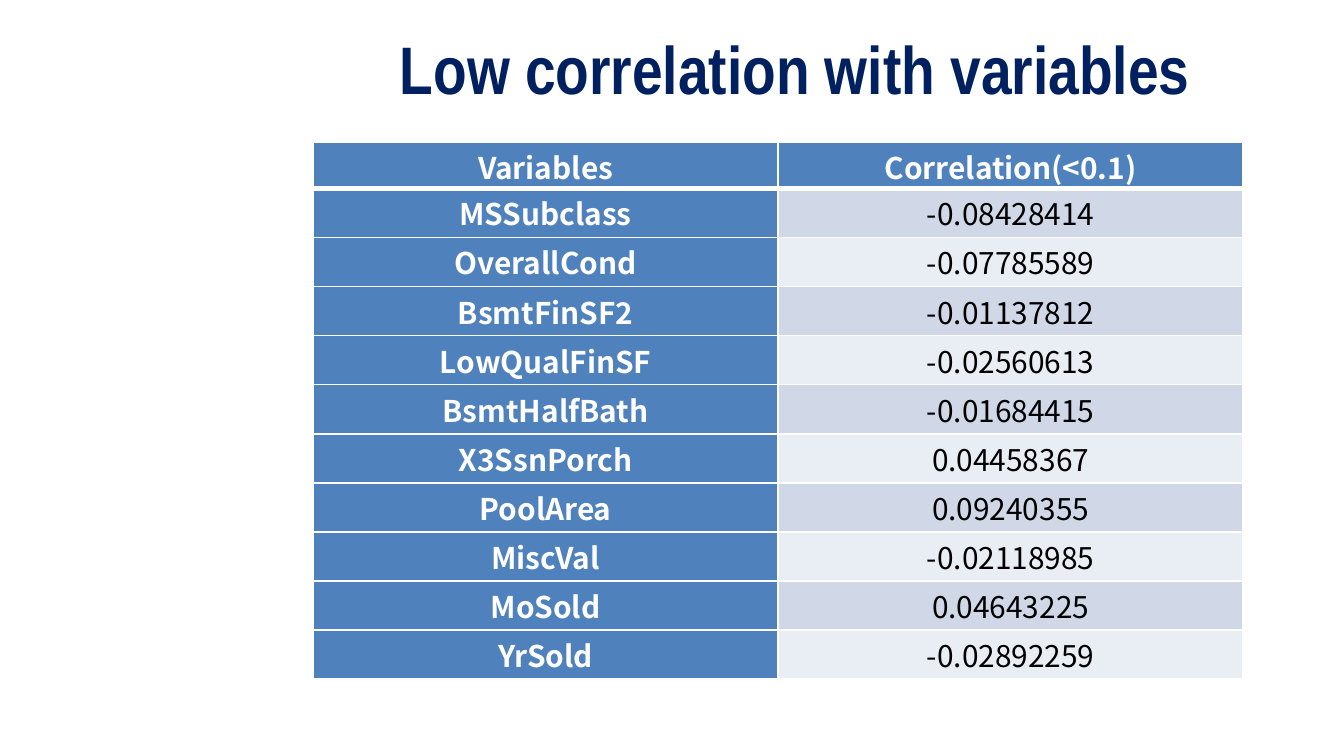
"""Build a slide with a table of weakly correlated variables."""
from typing import NamedTuple

from lxml.etree import SubElement
from pptx import Presentation
from pptx.dml.color import RGBColor
from pptx.enum.text import MSO_ANCHOR, MSO_AUTO_SIZE, PP_ALIGN
from pptx.oxml.ns import qn
from pptx.util import Inches, Pt

WHITE = RGBColor(0xFF, 0xFF, 0xFF)
BLACK = RGBColor(0x00, 0x00, 0x00)
NAVY = RGBColor(0x00, 0x20, 0x60)
BLUE = RGBColor(0x4F, 0x81, 0xBD)
BAND_DARK = RGBColor(0xD0, 0xD8, 0xE8)
BAND_LIGHT = RGBColor(0xE9, 0xED, 0xF4)

SLIDE_WIDTH = 10
SLIDE_HEIGHT = SLIDE_WIDTH * 9 / 16
TABLE_WIDTH = 6.92
TABLE_HEIGHT = 3.98
HEADER_HEIGHT = 0.33


class Correlation(NamedTuple):
    variable: str
    value: str


HEADER = Correlation("Variables", "Correlation(<0.1)")
CORRELATIONS = [
    Correlation("MSSubclass", "-0.08428414"),
    Correlation("OverallCond", "-0.07785589"),
    Correlation("BsmtFinSF2", "-0.01137812"),
    Correlation("LowQualFinSF", "-0.02560613"),
    Correlation("BsmtHalfBath", "-0.01684415"),
    Correlation("X3SsnPorch", "0.04458367"),
    Correlation("PoolArea", "0.09240355"),
    Correlation("MiscVal", "-0.02118985"),
    Correlation("MoSold", "0.04643225"),
    Correlation("YrSold", "-0.02892259"),
]


def add_borders(cell, top: float, bottom: float) -> None:
    properties = cell._tc.get_or_add_tcPr()
    for side, width in (("L", 1), ("R", 1), ("T", top), ("B", bottom)):
        line = SubElement(properties, qn(f"a:ln{side}"), w=str(Pt(width)))
        fill = SubElement(line, qn("a:solidFill"))
        SubElement(fill, qn("a:srgbClr"), val=str(WHITE))


def format_cell(cell, text: str, row: int, column: int) -> None:
    emphasized = row == 0 or column == 0
    band = BAND_DARK if row % 2 else BAND_LIGHT
    add_borders(cell, top=3 if row == 1 else 1, bottom=3 if row == 0 else 1)
    cell.fill.solid()
    cell.fill.fore_color.rgb = BLUE if emphasized else band
    cell.margin_left = cell.margin_right = Inches(0.07)
    cell.margin_top = cell.margin_bottom = 0
    cell.text = text
    paragraph = cell.text_frame.paragraphs[0]
    paragraph.alignment = PP_ALIGN.CENTER
    paragraph.line_spacing = 1.07
    font = paragraph.font
    font.name, font.size, font.bold = "Noto Sans CJK KR", Pt(16), emphasized
    font.color.rgb = WHITE if emphasized else BLACK


def add_title(slide, text: str) -> None:
    title = slide.shapes.title
    title.left, title.top = Inches(1.83), Inches(0.03)
    title.width, title.height = Inches(8.17), Inches(0.94)
    frame = title.text_frame
    frame.text = text
    frame.auto_size = MSO_AUTO_SIZE.NONE
    frame.vertical_anchor = MSO_ANCHOR.MIDDLE
    paragraph = frame.paragraphs[0]
    paragraph.alignment = PP_ALIGN.CENTER
    font = paragraph.font
    font.name, font.size, font.bold = "Arial Narrow", Pt(36), True
    font.color.rgb = NAVY


def add_correlation_table(slide, correlations: list[Correlation]) -> None:
    records = [HEADER, *correlations]
    table = slide.shapes.add_table(
        len(records), len(HEADER), Inches(2.33), Inches(1.06),
        Inches(TABLE_WIDTH), Inches(TABLE_HEIGHT),
    ).table
    table.first_col = True
    body_height = (TABLE_HEIGHT - HEADER_HEIGHT) / len(correlations)
    for row, record in enumerate(records):
        table.rows[row].height = Inches(body_height if row else HEADER_HEIGHT)
        for column, text in enumerate(record):
            format_cell(table.cell(row, column), text, row, column)


def main() -> None:
    presentation = Presentation()
    presentation.slide_width = Inches(SLIDE_WIDTH)
    presentation.slide_height = Inches(SLIDE_HEIGHT)
    slide = presentation.slides.add_slide(presentation.slide_layouts[5])
    add_title(slide, "Low correlation with variables")
    add_correlation_table(slide, CORRELATIONS)
    presentation.save("out.pptx")


if __name__ == "__main__":
    main()
